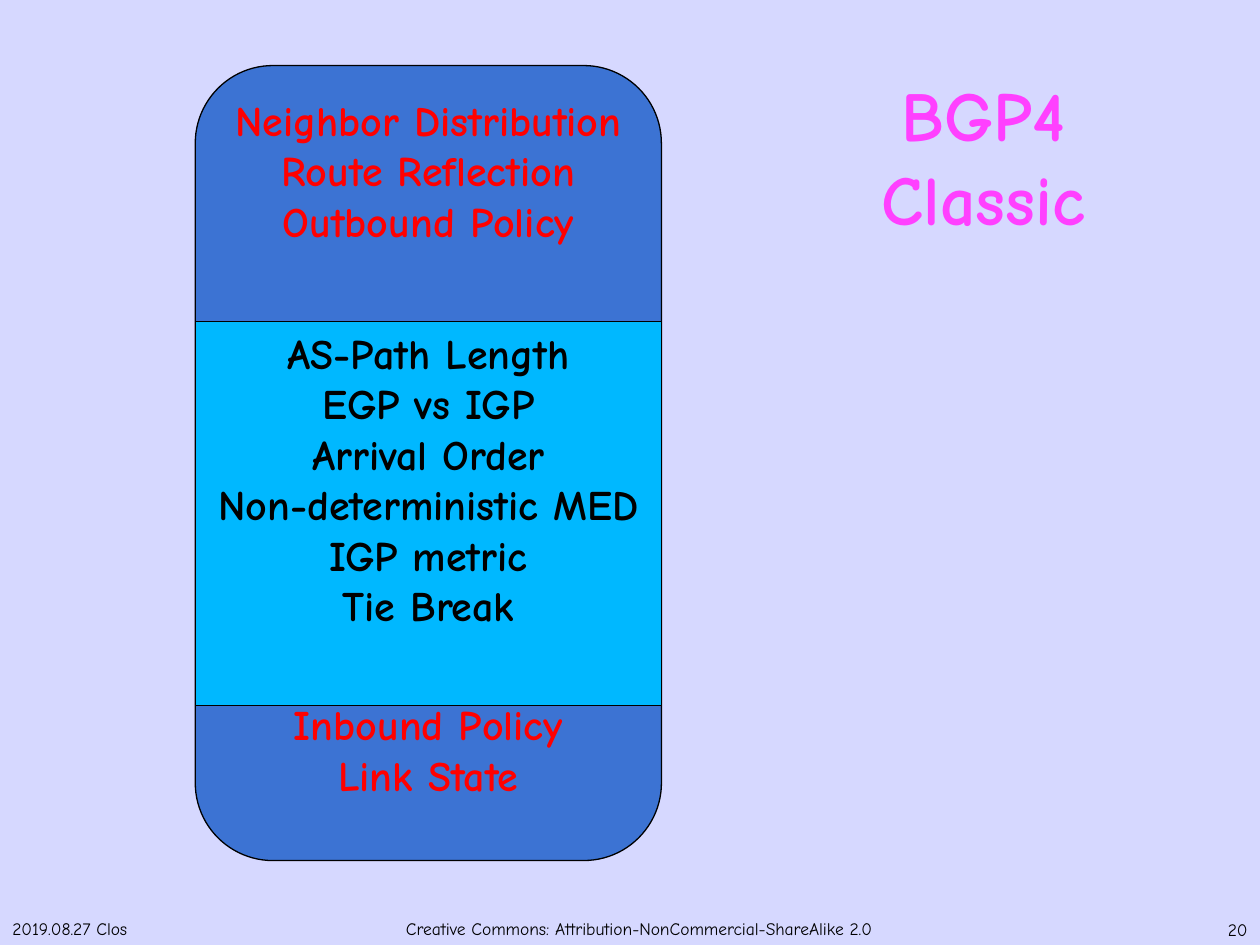
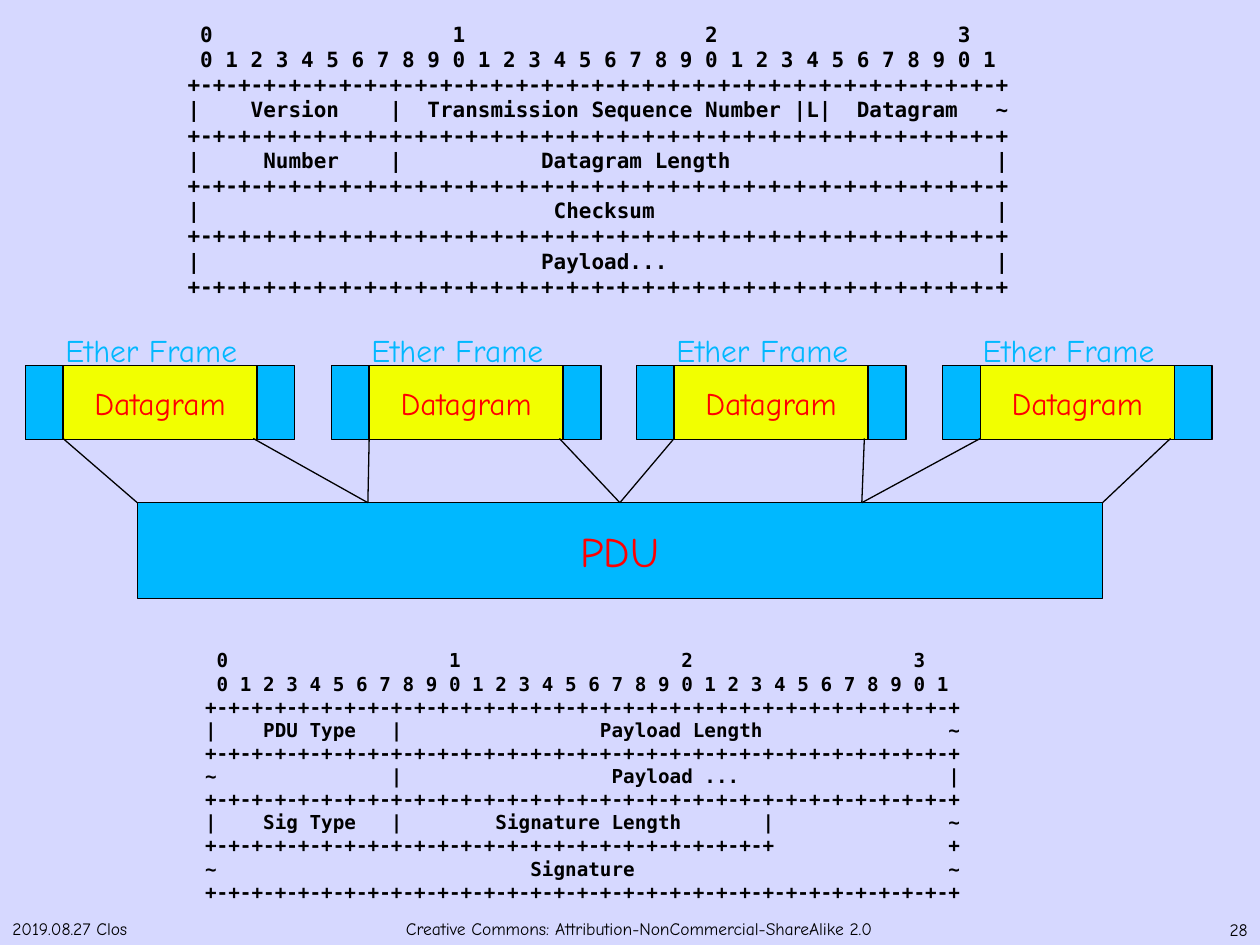
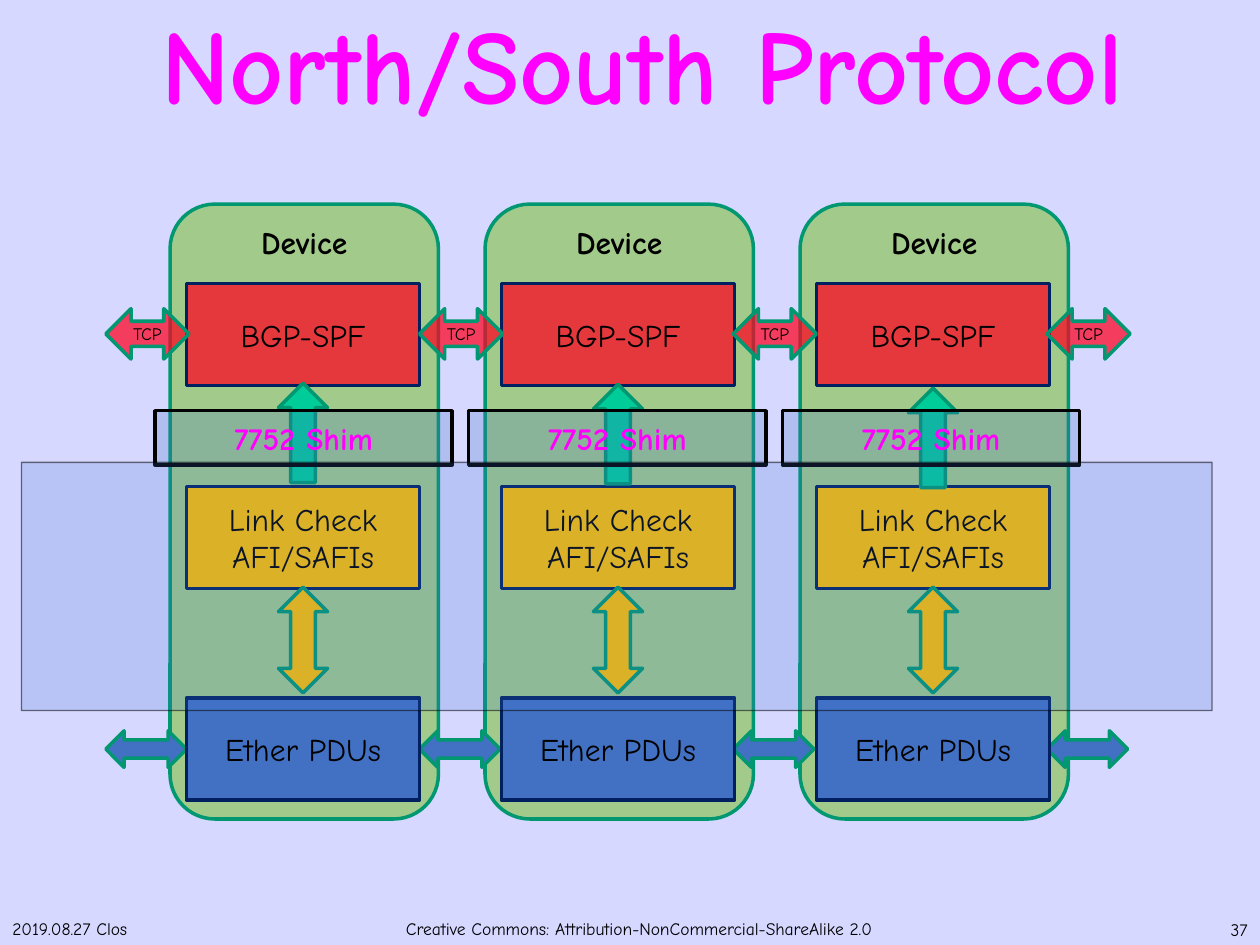
import pptx
import pptx.dml.color
import pptx.enum.shapes
import pptx.enum.text
import pptx.oxml.ns
import pptx.util
from lxml import etree

PX = 9144  # EMU in one px, 100 px to the inch
SHAPE = pptx.enum.shapes.MSO_SHAPE
ANCHOR = pptx.enum.text.MSO_ANCHOR
ALIGN = pptx.enum.text.PP_ALIGN

BACKGROUND = "D6D8FF"
BLACK = "000000"
RED = "FF0000"
SKY = "00B8FF"
ROYAL = "3C73D3"
YELLOW = "F2FF00"
PINK = "FF40FF"
MAGENTA = "FF00FF"
TEAL = "009771"
NAVY = "002060"
CRIMSON = "FF0020"
AMBER = "FFC000"
LEAF = "6FBF19"
MINT = "00CC99"
STEEL = "4271C4"

BIT_RULE = "+-" * 32 + "+"
BIT_HEAD = [
    " 0                   1                   2                   3",
    " 0 1 2 3 4 5 6 7 8 9 0 1 2 3 4 5 6 7 8 9 0 1 2 3 4 5 6 7 8 9 0 1",
    BIT_RULE,
]
DATAGRAM_LAYOUT = BIT_HEAD + [
    "|    Version    |  Transmission Sequence Number |L|  Datagram   ~",
    BIT_RULE,
    "|     Number    |           Datagram Length                     |",
    BIT_RULE,
    "|                            Checksum                           |",
    BIT_RULE,
    "|                           Payload...                          |",
    BIT_RULE,
]
PDU_LAYOUT = BIT_HEAD + [
    "|    PDU Type   |                 Payload Length                ~",
    BIT_RULE,
    "~               |                  Payload ...                  |",
    BIT_RULE,
    "|    Sig Type   |        Signature Length       |               ~",
    "+-" * 24 + "+               +",
    "~                           Signature                           ~",
    BIT_RULE,
]


def paint(color_format, color, alpha=100):
    """Set a hex colour, with an opacity in percent."""
    color_format.rgb = pptx.dml.color.RGBColor.from_string(color)
    if alpha < 100:
        for element in color_format._xFill.iter(pptx.oxml.ns.qn("a:srgbClr")):
            opacity = etree.SubElement(element, pptx.oxml.ns.qn("a:alpha"))
            opacity.set("val", str(alpha * 1000))


def write(shape, text, size=18, color=BLACK, font="Comic Neue", bold=False,
          align=ALIGN.CENTER, anchor=ANCHOR.MIDDLE, wrap=True, grow=False,
          line_spacing=None, gaps=None):
    """Write one paragraph per line; gaps maps a line's index to points before it."""
    frame = shape.text_frame
    frame.word_wrap = wrap
    frame.vertical_anchor = anchor
    if grow:
        frame.auto_size = pptx.enum.text.MSO_AUTO_SIZE.SHAPE_TO_FIT_TEXT
    for index, line in enumerate(text.split("\n")):
        para = frame.add_paragraph() if index else frame.paragraphs[0]
        para.alignment = align
        if line_spacing:
            para.line_spacing = line_spacing
        if gaps and index in gaps:
            para.space_before = pptx.util.Pt(gaps[index])
        span = para.add_run()
        span.text = line
        span.font.name = font
        span.font.size = pptx.util.Pt(size)
        span.font.bold = bold
        paint_font(span.font, color)


def paint_font(font, color):
    font.fill.solid()
    paint(font.fill.fore_color, color)


class Deck:
    """Holds the presentation, its shared style and the current slide."""

    def __init__(self):
        self.deck = pptx.Presentation()
        self.deck.slide_width = 1000 * PX
        self.deck.slide_height = 750 * PX
        self.page = None

    def new_page(self, number):
        self.page = self.deck.slides.add_slide(self.deck.slide_layouts[6])
        fill = self.page.background.fill
        fill.solid()
        paint(fill.fore_color, BACKGROUND)
        footer = {"size": 10, "anchor": ANCHOR.BOTTOM}
        self.text(0, 724, 236, 26, "2019.08.27 Clos", align=ALIGN.LEFT, **footer)
        self.text(908, 724, 92, 27, str(number), align=ALIGN.RIGHT, **footer)
        self.text(273, 724, 468, 26,
                  "Creative Commons: Attribution-NonCommercial-ShareAlike 2.0", **footer)

    def text(self, left, top, width, height, text, **style):
        box = self.page.shapes.add_textbox(left * PX, top * PX, width * PX, height * PX)
        write(box, text, **style)
        return box

    def title(self, text):
        box = self.text(37, 0, 945, 100, text, size=60, color=MAGENTA, bold=True,
                        anchor=ANCHOR.BOTTOM, line_spacing=1.16)
        frame = box.text_frame
        frame.margin_left = frame.margin_right = frame.margin_bottom = 0
        frame.margin_top = 90 * PX

    def shape(self, kind, left, top, width, height, fill, alpha=100,
              line=BLACK, line_width=0.75, line_alpha=100, text="", **style):
        shape = self.page.shapes.add_shape(
            kind, left * PX, top * PX, width * PX, height * PX)
        shape.shadow.inherit = False
        shape.fill.solid()
        paint(shape.fill.fore_color, fill, alpha)
        shape.line.width = pptx.util.Pt(line_width)
        shape.line.fill.solid()
        paint(shape.line.fill.fore_color, line, line_alpha)
        if text:
            write(shape, text, **style)

    def row(self, kind, lefts, top, width, height, fill, **style):
        """Repeat one shape at each left edge."""
        for left in lefts:
            self.shape(kind, left, top, width, height, fill, line_width=2, **style)

    def line(self, x1, y1, x2, y2):
        line = self.page.shapes.add_connector(
            pptx.enum.shapes.MSO_CONNECTOR.STRAIGHT, x1 * PX, y1 * PX, x2 * PX, y2 * PX)
        line.line.width = pptx.util.Pt(0.75)
        line.line.fill.solid()
        paint(line.line.fill.fore_color, BLACK)
        etree.SubElement(line._element.spPr, pptx.oxml.ns.qn("a:effectLst"))

    def code(self, left, top, width, height, lines, size):
        self.text(left, top, width, height, "\n".join(lines), size=size, bold=True,
                  font="DejaVu Sans Mono", align=ALIGN.LEFT, anchor=ANCHOR.TOP, grow=True)


def bgp_classic(deck):
    deck.new_page(20)
    stack = {"size": 24, "bold": True, "anchor": ANCHOR.TOP}
    deck.shape(SHAPE.ROUNDED_RECTANGLE, 155, 52, 370, 631, ROYAL, color=RED, gaps={3: 259},
               text="Neighbor Distribution\nRoute Reflection\nOutbound Policy\n"
                    "Inbound Policy\nLink State", **stack)
    deck.shape(SHAPE.RECTANGLE, 155, 255, 370, 305, SKY,
               text="AS-Path Length\nEGP vs IGP\nArrival Order\n"
                    "Non-deterministic MED\nIGP metric\nTie Break", **stack)
    deck.text(680, 52, 201, 145, "BGP4\nClassic", size=40, color=PINK, bold=True,
              anchor=ANCHOR.TOP, wrap=False, grow=True)


def frames_and_pdu(deck):
    deck.new_page(28)
    frame_lefts = [20 + round(i * 728 / 3) for i in range(4)]
    for left in frame_lefts:
        deck.shape(SHAPE.RECTANGLE, left, 290, 214, 59, SKY)
        deck.shape(SHAPE.RECTANGLE, left + 30, 290, 154, 59, YELLOW,
                   text="Datagram", color=RED)
        deck.text(left + 22, 258, 170, 40, "Ether Frame", color="02B8FF",
                  align=ALIGN.LEFT, anchor=ANCHOR.TOP, wrap=False, grow=True)
    deck.shape(SHAPE.RECTANGLE, 109, 399, 766, 76, SKY, text="PDU", size=24, color=RED)
    pdu_cuts = [109, 292, 492, 684, 875]
    for left, start, end in zip(frame_lefts, pdu_cuts, pdu_cuts[1:]):
        deck.line(left + 30, 348, start, 399)
        deck.line(left + 181, 348, end, 399)
    deck.code(139, 12, 688, 232, DATAGRAM_LAYOUT, 12)
    deck.code(153, 510, 694, 214, PDU_LAYOUT, 11)


def north_south(deck):
    deck.new_page(37)
    deck.title("North/South Protocol")
    device_lefts = [135 + 250 * i for i in range(3)]
    layer_lefts = [left + 13 for left in device_lefts]
    arrow_lefts = [left + 86 for left in device_lefts]
    shim_lefts = [123 + 249 * i for i in range(3)]
    link_lefts = [84 + 249 * i for i in range(4)]

    deck.row(SHAPE.ROUNDED_RECTANGLE, device_lefts, 162, 213, 488, LEAF, alpha=50,
             line=TEAL, text="Device", bold=True, anchor=ANCHOR.TOP)
    deck.row(SHAPE.RECTANGLE, layer_lefts, 386, 185, 81, AMBER, line=NAVY,
             text="Link Check\nAFI/SAFIs")
    deck.row(SHAPE.RECTANGLE, layer_lefts, 225, 185, 81, CRIMSON, alpha=72, line=NAVY,
             text="BGP-SPF")
    deck.row(SHAPE.LEFT_RIGHT_ARROW, link_lefts, 245, 66, 40, CRIMSON, alpha=72,
             line=TEAL, text="TCP", size=10)
    for left, top in zip(arrow_lefts, (304, 305, 308)):
        deck.row(SHAPE.UP_ARROW, [left], top, 39, 79, MINT, line=TEAL)
    deck.row(SHAPE.UP_DOWN_ARROW, arrow_lefts, 466, 39, 84, AMBER, line=TEAL)
    deck.row(SHAPE.RECTANGLE, shim_lefts, 326, 236, 43, "4472C4", alpha=25,
             text="7752 Shim", color=MAGENTA, bold=True)
    deck.row(SHAPE.LEFT_RIGHT_ARROW, link_lefts, 580, 64, 29, STEEL, line=TEAL)
    deck.row(SHAPE.RECTANGLE, layer_lefts, 554, 185, 81, STEEL, line=NAVY,
             text="Ether PDUs")
    deck.shape(SHAPE.RECTANGLE, 17, 367, 945, 197, ROYAL, alpha=19, line_alpha=52)


def main():
    deck = Deck()
    bgp_classic(deck)
    frames_and_pdu(deck)
    north_south(deck)
    deck.deck.save("out.pptx")


if __name__ == "__main__":
    main()
